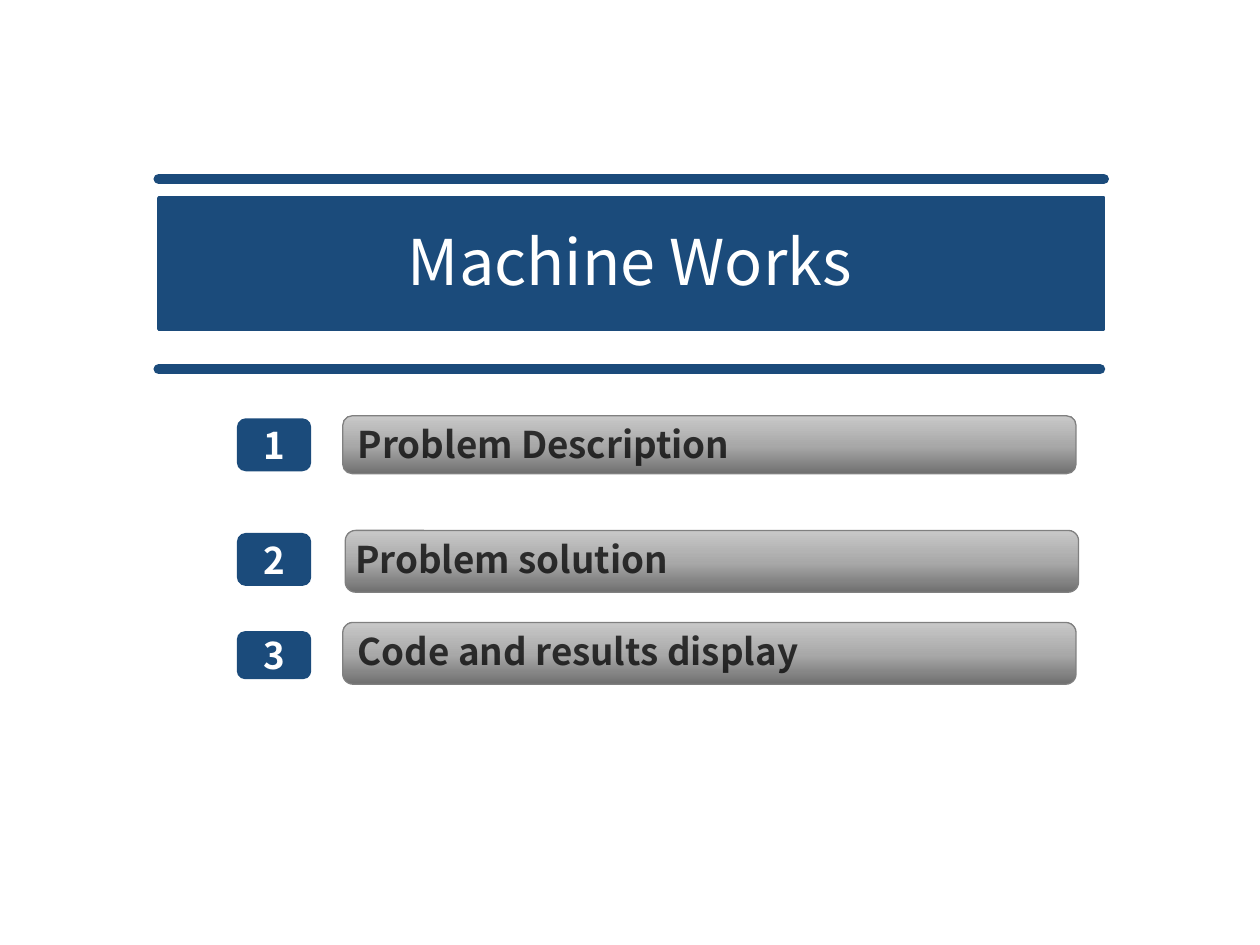
import copy
import dataclasses

import pptx
import pptx.dml.color
import pptx.enum.shapes
import pptx.enum.text
import pptx.oxml.ns
import pptx.oxml.xmlchemy
import pptx.util

Inches = pptx.util.Inches
SHAPES = pptx.enum.shapes.MSO_SHAPE
ALIGN = pptx.enum.text.PP_ALIGN
qn = pptx.oxml.ns.qn


@dataclasses.dataclass(frozen=True)
class Theme:
    font: str = "Noto Sans CJK SC"
    navy: str = "1B4B7B"
    white: str = "FFFFFF"
    ink: str = "000000"
    border: str = "808080"
    bar_stops: tuple = ((0, "6F6F6F"), (48, "A8A8A8"), (100, "C9C9C9"))
    ink_opacity: int = 75
    title_size: int = 36
    item_size: int = 21
    rule_width: int = 6
    banner_line: int = 2
    bar_line: float = 0.75


THEME = Theme()


def rgb(value):
    return pptx.dml.color.RGBColor.from_string(value)


def apply_format(target, values):
    for name, value in values.items():
        setattr(target, name, value)


def set_line(line, color, width):
    line.color.rgb = rgb(color)
    line.width = pptx.util.Pt(width)


def add_box(slide, kind, box):
    shape = slide.shapes.add_shape(kind, *map(Inches, box))
    shape.shadow.inherit = False
    return shape


def write_text(shape, text, color, size, align, frame_format, bold=False):
    apply_format(shape.text_frame, frame_format)
    paragraph = shape.text_frame.paragraphs[0]
    paragraph.alignment = align
    run = paragraph.add_run()
    run.text = text
    apply_format(run.font, {"name": THEME.font, "size": pptx.util.Pt(size), "bold": bold})
    run.font.color.rgb = rgb(color)
    return run


def add_label(slide, box, text, color, size, align, bold=False):
    label = slide.shapes.add_textbox(*map(Inches, box))
    frame_format = {
        "word_wrap": True,
        "auto_size": pptx.enum.text.MSO_AUTO_SIZE.SHAPE_TO_FIT_TEXT,
    }
    return write_text(label, text, color, size, align, frame_format, bold)


def add_rule(slide, left, right, y):
    rule = slide.shapes.add_connector(
        pptx.enum.shapes.MSO_CONNECTOR.STRAIGHT, *map(Inches, (left, y, right, y))
    )
    set_line(rule.line, THEME.navy, THEME.rule_width)
    properties = rule.element.spPr
    properties.find(qn("a:ln")).set("cap", "rnd")
    properties.append(properties.makeelement(qn("a:effectLst"), {}))


def add_banner(slide, box, title):
    left, top, width, height = box
    banner = add_box(slide, SHAPES.RECTANGLE, box)
    banner.fill.solid()
    banner.fill.fore_color.rgb = rgb(THEME.navy)
    set_line(banner.line, THEME.navy, THEME.banner_line)
    add_label(slide, (left + 0.22, top + 0.15, width - 0.46, 0.71), title,
              THEME.white, THEME.title_size, ALIGN.CENTER)
    add_rule(slide, left, left + width - 0.03, top + 1.36)
    add_rule(slide, left, left + width, top - 0.15)


def fill_bar(bar):
    bar.fill.gradient()
    bar.fill.gradient_angle = 90
    stop_list = bar.element.spPr.find(".//" + qn("a:gsLst"))
    stop_list.insert(1, copy.deepcopy(stop_list[0]))
    for stop, (position, color) in zip(bar.fill.gradient_stops, THEME.bar_stops):
        stop.position = position / 100
        stop.color.rgb = rgb(color)


def add_agenda_item(slide, number, text, bar_box, label_box, badge_box):
    bar = add_box(slide, SHAPES.ROUNDED_RECTANGLE, bar_box)
    fill_bar(bar)
    set_line(bar.line, THEME.border, THEME.bar_line)

    run = add_label(slide, label_box, text, THEME.ink, THEME.item_size, ALIGN.LEFT, True)
    color = run.font._element.find(".//" + qn("a:srgbClr"))
    color.append(color.makeelement(qn("a:alpha"), {"val": str(THEME.ink_opacity * 1000)}))

    badge = add_box(slide, SHAPES.ROUNDED_RECTANGLE, badge_box)
    badge.fill.solid()
    badge.fill.fore_color.rgb = rgb(THEME.navy)
    badge.line.fill.background()
    frame_format = {
        "word_wrap": False,
        "vertical_anchor": pptx.enum.text.MSO_ANCHOR.MIDDLE,
        "margin_left": Inches(0.07),
        "margin_right": Inches(0.07),
        "margin_top": Inches(0.04),
        "margin_bottom": Inches(0.04),
    }
    write_text(badge, str(number), THEME.white, THEME.item_size, ALIGN.CENTER,
               frame_format, True)


def add_agenda(slide, box):
    left, top, width, height = box
    items = (
        ("Problem Description", 0, 0.84, 0.46, 0.86, 0.02, 0.42),
        ("Problem solution", 0.91, 0.86, 0.49, 0.84, 0.02, 0.42),
        ("Code and results display", 1.64, 0.84, 0.49, 0.86, 0.07, 0.38),
    )
    for number, item in enumerate(items, 1):
        text, offset, bar_x, bar_height, label_x, badge_y, badge_height = item
        y = top + offset
        add_agenda_item(
            slide, number, text,
            (left + bar_x, y, width - 0.86, bar_height),
            (left + label_x, y, width - 0.89, 0.45),
            (left, y + badge_y, 0.59, badge_height),
        )


def main():
    presentation = pptx.Presentation()
    apply_format(presentation, {"slide_width": Inches(10), "slide_height": Inches(7.5)})
    slide = presentation.slides.add_slide(presentation.slide_layouts[6])
    add_banner(slide, (1.26, 1.57, 7.5, 1.04), "Machine Works")
    add_agenda(slide, (1.88, 3.3, 6.68, 2.13))
    presentation.save("out.pptx")


if __name__ == "__main__":
    main()
